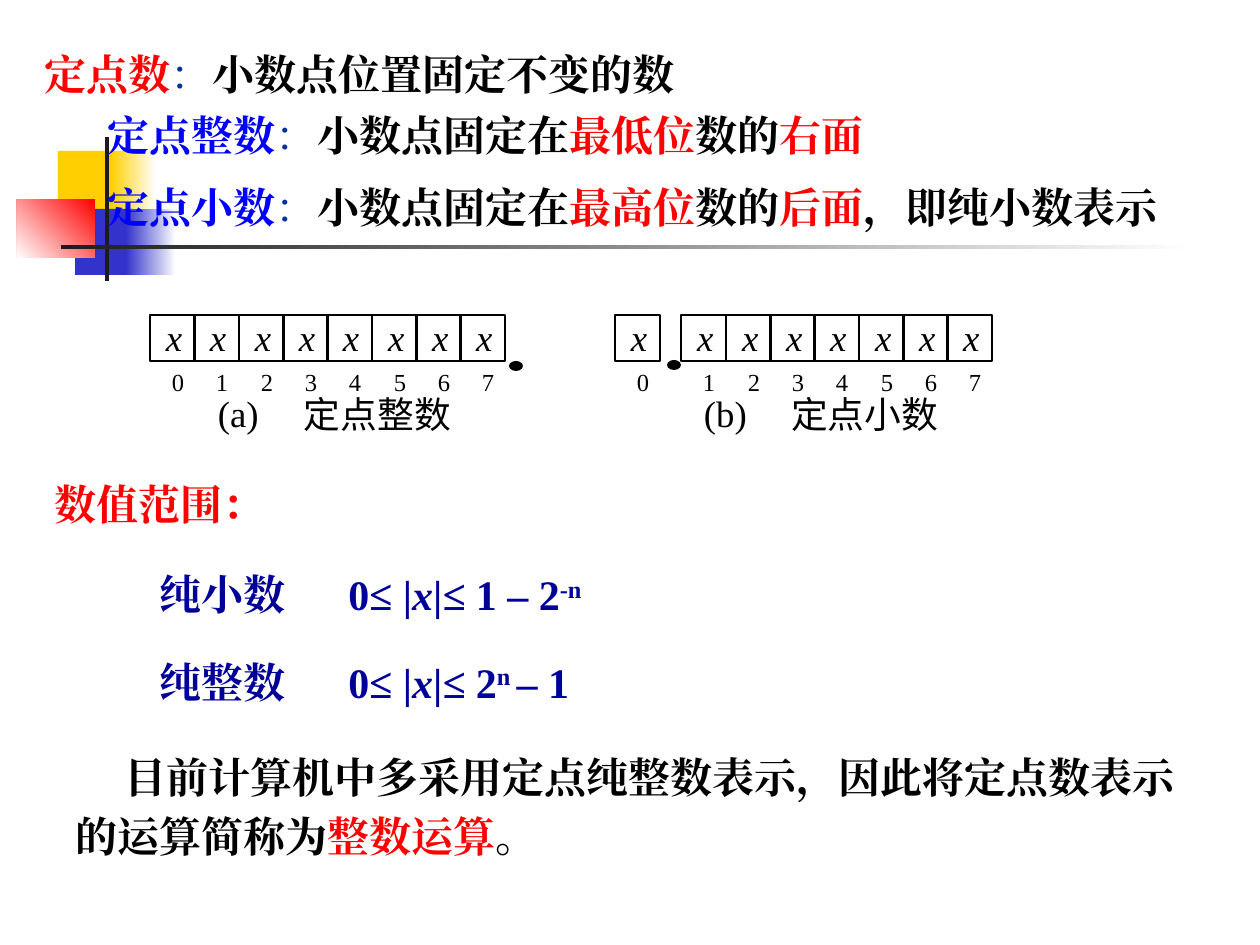
from pptx import Presentation
from pptx import util as u
from pptx.dml.color import RGBColor
from pptx.enum import shapes, text
from pptx.oxml.ns import qn
from lxml import etree

PX = 914400 / 126
LATIN, CJK = "Times New Roman", "Noto Sans CJK SC"
BLACK = RGBColor(0, 0, 0)
WHITE = RGBColor(0xFF, 0xFF, 0xFF)
RED = RGBColor(0xFF, 0, 0)
BLUE = RGBColor(0, 0, 0xFF)
COLON_BLUE = RGBColor(0, 0x33, 0x99)
NAVY = RGBColor(0, 0, 0x99)
YELLOW = RGBColor(0xFF, 0xCF, 0x01)
INDIGO = RGBColor(0x33, 0x33, 0xCC)
CHARCOAL = RGBColor(0x1C, 0x1C, 0x1C)
RECT, OVAL = shapes.MSO_SHAPE.RECTANGLE, shapes.MSO_SHAPE.OVAL


def px(n):
    return u.Emu(round(n * PX))


class Board:
    """Holds the current slide and the style shared by its elements."""

    def __init__(self, s):
        self.s = s

    def shape(self, box, kind=RECT, fill=None, fade=None, line=None, parent=None):
        """fade is the angle along which the fill turns white."""
        sp = (parent or self.s).shapes.add_shape(kind, *map(px, box))
        sp.shadow.inherit = False
        if fade is not None:
            sp.fill.gradient()
            sp.fill.gradient_angle = fade
            for stop, color in zip(sp.fill.gradient_stops, (fill, WHITE)):
                stop.color.rgb = color
        elif fill is not None:
            sp.fill.solid()
            sp.fill.fore_color.rgb = fill
        else:
            sp.fill.background()
        if line is None:
            sp.line.fill.background()
        else:
            sp.line.color.rgb = line
            sp.line.width = u.Pt(1.5)
        return sp

    def run(self, p, words, color=BLACK, size=24, bold=True, italic=False,
            font=LATIN, base=0):
        r = p.add_run()
        r.text = words
        f = r.font
        f.name, f.size, f.bold, f.italic = font, u.Pt(size), bold, italic
        f.color.rgb = color
        rPr = r._r.get_or_add_rPr()
        etree.SubElement(rPr, qn("a:ea"), typeface=font)
        if base:
            rPr.set("baseline", str(base * 1000))

    def paragraph(self, tf, runs, first=False, left=0, indent=0, tab=None,
                  before=0, spacing=1.0):
        """Each run is (words, color) or (words, color, extra style)."""
        p = tf.paragraphs[0] if first else tf.add_paragraph()
        p.alignment = text.PP_ALIGN.LEFT
        p.line_spacing, p.space_before = spacing, u.Pt(before)
        pPr = p._p.get_or_add_pPr()
        pPr.set("marL", str(px(left)))
        pPr.set("indent", str(px(indent)))
        etree.SubElement(pPr, qn("a:buNone"))
        if tab:
            tabs = etree.SubElement(pPr, qn("a:tabLst"))
            etree.SubElement(tabs, qn("a:tab"), pos=str(px(tab)), algn="l")
        for words, color, *style in runs:
            self.run(p, words, color, **(style[0] if style else {}))

    def fill_text(self, sp, paragraphs):
        tf = sp.text_frame
        tf.word_wrap = True
        tf.auto_size = text.MSO_AUTO_SIZE.NONE
        tf.vertical_anchor = text.MSO_ANCHOR.TOP
        for i, (runs, layout) in enumerate(paragraphs):
            self.paragraph(tf, runs, first=i == 0, **layout)

    def text_box(self, box, paragraphs):
        self.fill_text(self.s.shapes.add_textbox(*map(px, box)), paragraphs)

    def body(self, box, paragraphs):
        sp = self.s.placeholders[1]
        sp.left, sp.top, sp.width, sp.height = map(px, box)
        tree = sp.element.getparent()
        tree.append(sp.element)  # bring in front of the decoration
        self.fill_text(sp, paragraphs)

    def label(self, parent, box, words, **style):
        sp = parent.shapes.add_textbox(*map(px, box))
        tf = sp.text_frame
        tf.margin_left = tf.margin_right = tf.margin_top = tf.margin_bottom = 0
        tf.word_wrap = False
        self.run(tf.paragraphs[0], words, bold=False, **style)

    def register(self, left, point, letter, letter_box, name_box, name, gap=0):
        """Eight bit cells; gap separates bit 0 from the others."""
        g = self.s.shapes.add_group_shape()
        for bit in range(8):
            x = left + round(bit * 44.3) + (gap if bit else 0)
            self.shape((x, 315, 45, 46), line=BLACK, parent=g)
            self.label(g, (x + 16, 315, 16, 44), "x", size=21, italic=True)
            self.label(g, (x + 22, 367, 13, 29), str(bit), size=14)
        self.shape((*point, 14, 10), OVAL, BLACK, parent=g)
        self.label(g, letter_box, letter, size=21)
        self.label(g, name_box, name, size=21, font=CJK)


def definition(term, color, *rest):
    return [(term, color), ("：", COLON_BLUE, {"bold": False}), *rest]


def bounds(name, *upper):
    italic = {"italic": True}
    return [(f"{name}\t0≤ |", NAVY), ("x", NAVY, italic), ("|", NAVY),
            ("≤ ", NAVY, italic), *upper]


def main():
    prs = Presentation()
    prs.slide_width, prs.slide_height = px(1260), px(945)
    s = prs.slides.add_slide(prs.slide_layouts[1])
    title = s.shapes.title.element
    title.getparent().remove(title)
    board = Board(s)

    for box, color, fade in (
        ((58, 151, 60, 66), YELLOW, None),
        ((111, 151, 45, 66), YELLOW, 0),
        ((75, 209, 58, 66), INDIGO, None),
        ((126, 209, 50, 66), INDIGO, 0),
        ((17, 199, 78, 59), RED, 225),
        ((105, 137, 4, 144), CHARCOAL, None),
        ((61, 245, 1134, 4), CHARCOAL, 0),
    ):
        board.shape(box, fill=color, fade=fade)

    board.body((32, 42, 1176, 126), [
        (definition("定点数", RED, ("小数点位置固定不变的数", BLACK)),
         dict(left=48, indent=-48)),
        (definition("定点整数", BLUE, ("小数点固定在", BLACK), ("最低位", RED),
                    ("数的", BLACK), ("右面", RED)),
         dict(left=102, indent=-39, before=6)),
    ])
    board.register(615, (667, 360), "(b)", (704, 391, 52, 44),
                   (791, 392, 147, 44), "定点小数", gap=22)
    board.register(150, (509, 361), "(a)", (218, 391, 50, 44),
                   (304, 392, 147, 44), "定点整数")

    sup = {"base": 30}
    board.text_box((42, 472, 1187, 242), [
        ([("数值范围：", RED)], {}),
        (bounds("纯小数", ("1 – 2", NAVY), ("-n", NAVY, sup)),
         dict(left=105, tab=334, before=28.5, spacing=0.8)),
        (bounds("纯整数", ("2", NAVY), ("n ", NAVY, sup), ("– 1", NAVY)),
         dict(left=105, tab=331, spacing=1.75)),
    ])
    board.text_box((63, 703, 1138, 163), [
        ([("目前计算机中多采用定点纯整数表示，因此将定点数表示", BLACK)],
         dict(indent=49, spacing=1.85)),
        ([("的运算简称为", BLACK), ("整数运算", RED), ("。", BLACK)],
         dict(before=15, spacing=0.6)),
    ])
    board.text_box((95, 175, 1134, 63), [
        (definition("定点小数", BLUE, ("小数点固定在", BLACK), ("最高位", RED),
                    ("数的", BLACK), ("后面", RED), ("，即纯小数表示", BLACK)), {}),
    ])
    prs.save("out.pptx")


if __name__ == "__main__":
    main()
